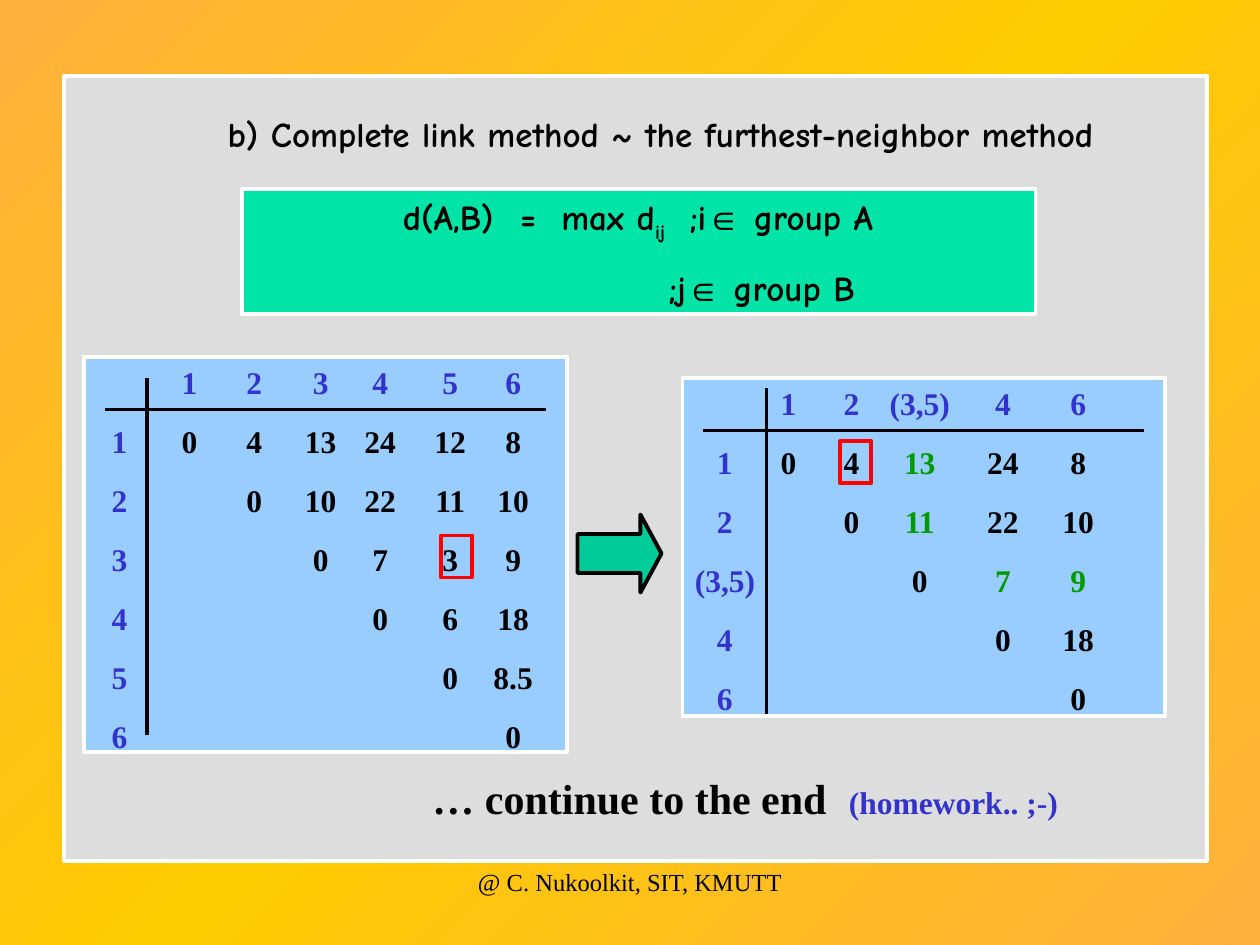
from lxml.etree import SubElement
from pptx import Presentation
from pptx.dml.color import RGBColor
from pptx.enum.shapes import MSO_CONNECTOR, MSO_SHAPE
from pptx.enum.text import MSO_ANCHOR, MSO_AUTO_SIZE, PP_ALIGN
from pptx.oxml import parse_xml
from pptx.oxml.ns import nsdecls, qn
from pptx.util import Pt

# Content
TITLE = "b) Complete link method ~ the furthest-neighbor method"
RULE = [  # tab stops, then (text, kind) pieces
    ([85, 152, 175.5, 249], [("\td(A,B)\t=\tmax d", "rule"), ("ij", "sub"), ("\t;i", "rule"),
                             ("∈", "sign"), (" group A", "rule")]),
    ([237], [("\t;j", "rule"), ("∈", "sign"), (" group B", "rule")]),
]
CLOSE = [([238], [("… continue to the end", "big"), ("\t(homework.. ;-)", "head")])]
CREDIT = "@ C. Nukoolkit, SIT, KMUTT"
GRIDS = [
    {"box": (48.2, 203.8, 275.8, 226), "stops": [13, 53, 90, 128, 162, 202, 238],
     "lines": [(84, 216, 84, 420), (60, 234, 312, 234)],
     "names": ["1", "2", "3", "4", "5", "6"], "green": [],
     "rows": [["0", "4", "13", "24", "12", "8"], ["0", "10", "22", "11", "10"],
              ["0", "7", "3", "9"], ["0", "6", "18"], ["0", "8.5"], ["0"]]},
    {"box": (390, 216, 276, 193), "stops": [17, 53.5, 89.5, 128.5, 176, 219],
     "lines": [(438, 222, 438, 408), (402, 246, 654, 246)],
     "names": ["1", "2", "(3,5)", "4", "6"],
     "green": [(0, 2), (1, 2), (2, 3), (2, 4)],
     "rows": [["0", "4", "13", "24", "8"], ["0", "11", "22", "10"],
              ["0", "7", "9"], ["0", "18"], ["0"]]},
]
MARKS = [(252, 306, 18, 24), (480, 252, 18, 24)]


def hue(code):
    return RGBColor.from_string(code)


# Formats
SERIF = {"name": "Times New Roman", "size": Pt(18), "bold": True}
COMIC = {"name": "Comic Neue", "size": Pt(20), "bold": True}
FORMS = {
    "rule": (COMIC, "000000"),
    "sub": (COMIC, "000000"),
    "sign": ({**COMIC, "name": "Arial"}, "000000"),
    "cell": (SERIF, "000000"),
    "head": (SERIF, "3333CC"),
    "new": (SERIF, "009900"),
    "big": ({**SERIF, "size": Pt(24)}, "000000"),
    "note": ({**SERIF, "size": Pt(14), "bold": False}, "000000"),
}
FRAME = {"margin_left": Pt(7.2), "margin_right": Pt(7.2), "margin_top": Pt(3.6),
         "margin_bottom": Pt(3.6), "word_wrap": True, "auto_size": MSO_AUTO_SIZE.NONE,
         "vertical_anchor": MSO_ANCHOR.TOP}

deck = Presentation()
deck.slide_width, deck.slide_height = Pt(720), Pt(540)
slide = deck.slides.add_slide(deck.slide_layouts[5])
shapes = slide.shapes


def put(item, vals):
    for key, val in vals.items():
        setattr(item, key, val)


def block(kind, box, fill, edge):
    item = shapes.add_shape(kind, *map(Pt, box))
    item.shadow.inherit = False
    if fill:
        item.fill.solid()
        item.fill.fore_color.rgb = hue(fill)
    else:
        item.fill.background()
    item.line.color.rgb = hue(edge)
    item.line.width = Pt(2.25)
    return item


def rule(ends):
    item = shapes.add_connector(MSO_CONNECTOR.STRAIGHT, *map(Pt, ends))
    item.line.color.rgb = hue("000000")
    item.line.width = Pt(2.25)
    SubElement(item._element.spPr, qn("a:effectLst"))


def write(item, paras, gap=0, align=PP_ALIGN.LEFT, tab="l", **more):
    frame = item.text_frame
    put(frame, {**FRAME, **more})
    for n, (stops, parts) in enumerate(paras):
        para = frame.add_paragraph() if n else frame.paragraphs[0]
        if stops:
            tabs = SubElement(para._p.get_or_add_pPr(), qn("a:tabLst"))
            for stop in stops:
                SubElement(tabs, qn("a:tab"), pos=str(int(Pt(stop))), algn=tab)
        put(para, {"alignment": align, "space_before": Pt(gap if n else 0)})
        for text, kind in parts:
            run = para.add_run()
            run.text = text
            vals, code = FORMS[kind]
            put(run.font, vals)
            run.font.color.rgb = hue(code)
            if kind == "sub":
                run._r.get_or_add_rPr().set("baseline", "-25000")


def matrix(grid):
    names, stops = grid["names"], grid["stops"]
    paras = [(stops, [("\t\t" + "\t".join(names), "head")])]
    for r, (name, row) in enumerate(zip(names, grid["rows"])):
        skip = len(names) - len(row)
        parts = [("\t" + name + "\t" * skip, "head")]
        for c, val in enumerate(row, skip):
            parts.append(("\t" + val, "new" if (r, c) in grid["green"] else "cell"))
        paras.append((stops, parts))
    item = block(MSO_SHAPE.RECTANGLE, grid["box"], "99CCFF", "FFFFFF")
    write(item, paras, gap=12.1, tab="ctr")
    for ends in grid["lines"]:
        rule(ends)


# Background
stops = "".join(f'<a:gs pos="{pos}"><a:srgbClr val="{code}"/></a:gs>' for pos, code in
                [(0, "FFB03D"), (50000, "FFCC00"), (100000, "FFB03D")])
slide._element.cSld.insert(0, parse_xml(
    f'<p:bg {nsdecls("p", "a")}><p:bgPr><a:gradFill rotWithShape="0"><a:gsLst>{stops}</a:gsLst>'
    '<a:lin ang="13500000" scaled="0"/></a:gradFill><a:effectLst/></p:bgPr></p:bg>'))

# Panel and title, the title above the panel
block(MSO_SHAPE.RECTANGLE, (36.7, 43.2, 653, 448.6), "DDDDDD", "FFFFFF")
title = shapes.title
put(title, dict(zip(("left", "top", "width", "height"), map(Pt, (36.7, 60.5, 642, 31.7)))))
write(title, [([], [(TITLE, "rule")])], align=PP_ALIGN.CENTER, margin_left=Pt(47))
shapes._spTree.append(title._element)

# Distance rule
write(block(MSO_SHAPE.RECTANGLE, (138.2, 108, 453.6, 71.3), "00E4A8", "FFFFFF"), RULE, gap=13.5)

# Matrices, arrow and marks
for grid in GRIDS:
    matrix(grid)
arrow = block(MSO_SHAPE.RIGHT_ARROW, (330, 294, 48, 44.6), "00CC99", "000000")
arrow.adjustments[1] = 0.27
for mark in MARKS:
    block(MSO_SHAPE.RECTANGLE, mark, None, "FF0000")

# Closing words and credit
write(shapes.add_textbox(*map(Pt, (240, 438, 444, 36))), CLOSE)
write(shapes.add_textbox(*map(Pt, (246, 492, 228, 36))), [([], [(CREDIT, "note")])],
      align=PP_ALIGN.CENTER)

deck.save("out.pptx")
